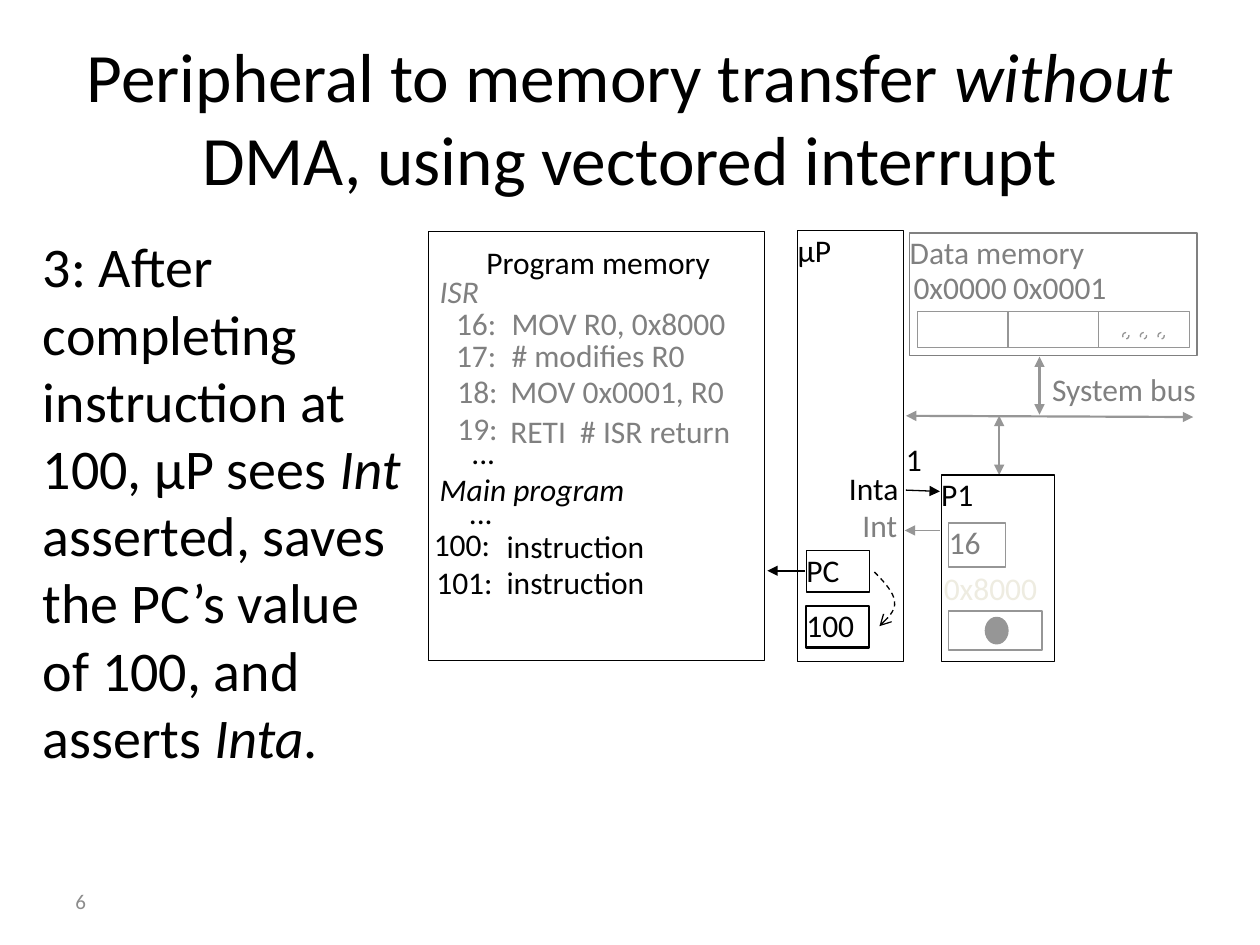
import pptx
import pptx.util
import pptx.dml.color
import pptx.enum.dml
import pptx.enum.shapes
import pptx.enum.text
import pptx.oxml.ns
import lxml.etree

Inches = pptx.util.Inches
ALIGN = pptx.enum.text.PP_ALIGN
SHAPE = pptx.enum.shapes.MSO_SHAPE
BLACK, GREY, LINE_GREY, PALE = "000000", "808080", "969696", "EEECE1"


def color(value):
    """Turn a hex string into a colour."""
    return pptx.dml.color.RGBColor.from_string(value)


def write(frame, parts, size=18, ink=BLACK, align=ALIGN.LEFT, inset=0, anchor="TOP"):
    """Fill a text frame with (text, italic) parts."""
    frame.word_wrap = True
    frame.vertical_anchor = pptx.enum.text.MSO_ANCHOR[anchor]
    frame.margin_left = frame.margin_right = Inches(inset)
    frame.margin_top = frame.margin_bottom = Inches(inset / 2)
    para = frame.paragraphs[0]
    para.alignment = align
    for text, italic in parts:
        span = para.add_run()
        span.text = text
        span.font.name = "Calibri"
        span.font.size = pptx.util.Pt(size)
        span.font.italic = italic
        span.font.color.rgb = color(ink)


def add_text(slide, left, top, width, height, parts, **style):
    """Add a text box."""
    box = slide.shapes.add_textbox(*map(Inches, (left, top, width, height)))
    write(box.text_frame, parts, **style)


def add_label(slide, left, top, width, text, ink=BLACK, italic=False, align=ALIGN.LEFT):
    """Add a one-line diagram label."""
    add_text(slide, left, top, width, 0.3, [(text, italic)], ink=ink, align=align)


def style_line(line, ink, weight, dashed=False):
    """Set colour, width and dash of a line."""
    line.color.rgb = color(ink)
    line.width = pptx.util.Pt(weight)
    if dashed:
        line.dash_style = pptx.enum.dml.MSO_LINE.DASH


def add_block(slide, left, top, width, height, text="", ink=BLACK, line=BLACK,
              fill=None, kind=SHAPE.RECTANGLE, dashed=False, weight=0.75):
    """Add an outlined shape with an optional caption."""
    block = slide.shapes.add_shape(kind, *map(Inches, (left, top, width, height)))
    block.shadow.inherit = False
    if fill:
        block.fill.solid()
        block.fill.fore_color.rgb = color(fill)
    else:
        block.fill.background()
    style_line(block.line, line, weight, dashed)
    if text:
        write(block.text_frame, [(text, False)], ink=ink)


def add_heads(shape, tail, head=None):
    """Put arrowheads on a shape whose line is already styled."""
    outline = shape._element.spPr.find(pptx.oxml.ns.qn("a:ln"))
    for tag, kind in (("a:headEnd", head), ("a:tailEnd", tail)):
        if kind:
            end = lxml.etree.SubElement(outline, pptx.oxml.ns.qn(tag))
            end.set("type", kind)


def add_arrow(slide, x1, y1, x2, y2, ink=LINE_GREY, weight=1.25, both=False):
    """Add a straight arrow."""
    arrow = slide.shapes.add_connector(
        pptx.enum.shapes.MSO_CONNECTOR.STRAIGHT, *map(Inches, (x1, y1, x2, y2)))
    style_line(arrow.line, ink, weight)
    add_heads(arrow, "triangle", "triangle" if both else None)
    lxml.etree.SubElement(arrow._element.spPr, pptx.oxml.ns.qn("a:effectLst"))


def bezier(points, steps=10):
    """List the points of a cubic curve after its start."""
    curve = []
    for step in range(1, steps + 1):
        t = step / steps
        weights = ((1 - t) ** 3, 3 * t * (1 - t) ** 2, 3 * t ** 2 * (1 - t), t ** 3)
        curve.append(tuple(Inches(sum(w * point[axis] for w, point in zip(weights, points)))
                           for axis in (0, 1)))
    return curve


def add_curved_arrow(slide):
    """Add the dashed arrow from PC to its saved value."""
    start, middle = (6.94, 4.54), (7.1, 4.78)
    builder = slide.shapes.build_freeform(Inches(start[0]), Inches(start[1]))
    points = bezier([start, (7.02, 4.62), (7.1, 4.71), middle])
    points += bezier([middle, (7.11, 4.85), (7.04, 4.91), (6.98, 4.97)])
    builder.add_line_segments(points, close=False)
    curve = builder.convert_to_shape()
    curve.shadow.inherit = False
    curve.fill.background()
    style_line(curve.line, BLACK, 0.75, dashed=True)
    add_heads(curve, "arrow")


def add_program_memory(slide):
    """Draw the program memory and its listing."""
    add_block(slide, 3.4, 1.84, 2.67, 3.4)
    add_label(slide, 3.86, 1.93, 1.83, "Program memory")
    add_label(slide, 3.49, 2.16, 0.57, "ISR", GREY, True)
    add_label(slide, 3.49, 3.73, 1.57, "Main program", italic=True)
    listing = [
        ("16:", 3.94, 2.41, "MOV R0, 0x8000", 4.06, 2.41, GREY),
        ("17:", 3.94, 2.67, "# modifies R0", 4.06, 2.67, GREY),
        ("18:", 3.95, 2.95, "MOV 0x0001, R0", 4.05, 2.95, GREY),
        ("19:", 3.95, 3.25, "RETI  # ISR return", 4.05, 3.27, GREY),
        ("100:", 3.89, 4.17, "instruction", 4.02, 4.18, BLACK),
        ("101:", 3.91, 4.47, "instruction", 4.02, 4.47, BLACK),
    ]
    for address, right, top, code, left, code_top, ink in listing:
        add_label(slide, right - 0.56, top, 0.56, address, ink, align=ALIGN.RIGHT)
        add_label(slide, left, code_top, 2.05, code, ink)
    for right, top in ((3.93, 3.44), (3.91, 3.91)):
        add_label(slide, right - 0.34, top, 0.34, "...", align=ALIGN.RIGHT)


def add_processor(slide):
    """Draw the processor with its registers and pins."""
    add_block(slide, 6.33, 1.83, 0.84, 3.42, "μP")
    add_block(slide, 6.4, 4.37, 0.5, 0.33, "PC")
    add_block(slide, 6.4, 4.81, 0.5, 0.33, "100", weight=1.25)
    add_label(slide, 6.68, 3.72, 0.45, "Inta", align=ALIGN.RIGHT)
    add_label(slide, 6.68, 4.02, 0.44, "Int", GREY, align=ALIGN.RIGHT)
    add_label(slide, 7.19, 3.49, 0.28, "1")
    add_arrow(slide, 6.39, 4.53, 6.09, 4.53, BLACK)
    add_arrow(slide, 7.19, 3.89, 7.46, 3.9, BLACK, 0.75)
    add_arrow(slide, 7.46, 4.21, 7.18, 4.21, weight=0.75)
    add_curved_arrow(slide)


def add_data_memory(slide):
    """Draw the data memory and the system bus."""
    add_block(slide, 7.22, 1.85, 2.28, 0.97, "Data memory", GREY, GREY)
    add_label(slide, 7.25, 2.13, 0.78, "0x0000", GREY)
    add_label(slide, 8.04, 2.13, 0.78, "0x0001", GREY)
    for index in range(3):
        add_block(slide, 7.28 + 0.72 * index, 2.47, 0.72, 0.29, line=LINE_GREY)
        add_block(slide, 8.91 + 0.14 * index, 2.64, 0.05, 0.05, line=LINE_GREY,
                  kind=SHAPE.OVAL, dashed=True)
    add_label(slide, 8.35, 2.94, 1.19, "System bus", GREY)
    add_arrow(slide, 7.19, 3.3, 9.47, 3.31, both=True)
    add_arrow(slide, 8.25, 2.83, 8.25, 3.29, both=True)
    add_arrow(slide, 7.93, 3.3, 7.93, 3.77, both=True)


def add_peripheral(slide):
    """Draw the peripheral with its registers."""
    add_block(slide, 7.47, 3.77, 0.9, 1.48, "P1")
    add_block(slide, 7.53, 4.15, 0.45, 0.35, "16", GREY, LINE_GREY)
    add_label(slide, 7.49, 4.52, 0.82, "0x8000", PALE)
    add_block(slide, 7.53, 4.85, 0.74, 0.31, line=LINE_GREY)
    add_block(slide, 7.82, 4.9, 0.18, 0.21, line=LINE_GREY, fill=LINE_GREY, kind=SHAPE.OVAL)


def main():
    """Build and save the slide."""
    deck = pptx.Presentation()
    deck.slide_width, deck.slide_height = Inches(10), Inches(7.5)
    slide = deck.slides.add_slide(deck.slide_layouts[6])
    add_text(slide, 0.5, 0.3, 9, 1.25,
             [("Peripheral to memory transfer ", False), ("without ", True),
              ("DMA, using vectored interrupt", False)],
             size=39.6, align=ALIGN.CENTER, inset=0.1, anchor="MIDDLE")
    add_text(slide, 0.34, 1.84, 2.91, 4.3,
             [("3: After completing instruction at 100, μP sees ", False), ("Int", True),
              (" asserted, saves the PC’s value of 100, and asserts ", False),
              ("Inta", True), (".", False)], size=32)
    add_program_memory(slide)
    add_processor(slide)
    add_data_memory(slide)
    add_peripheral(slide)
    add_text(slide, 0.5, 6.95, 2.33, 0.4, [("6", False)], size=12, ink="8C8C8C",
             inset=0.1, anchor="MIDDLE")
    deck.save("out.pptx")


if __name__ == "__main__":
    main()
